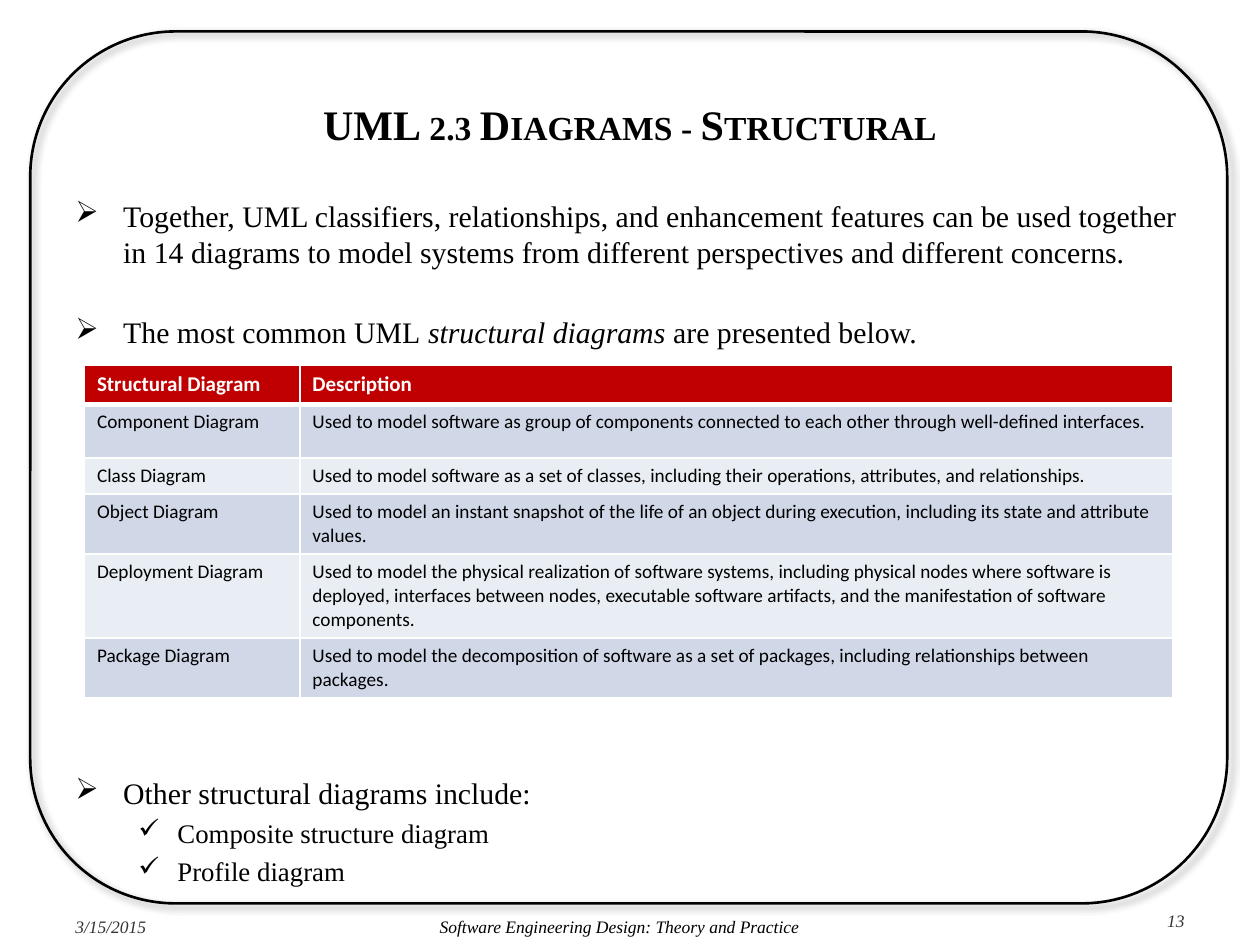
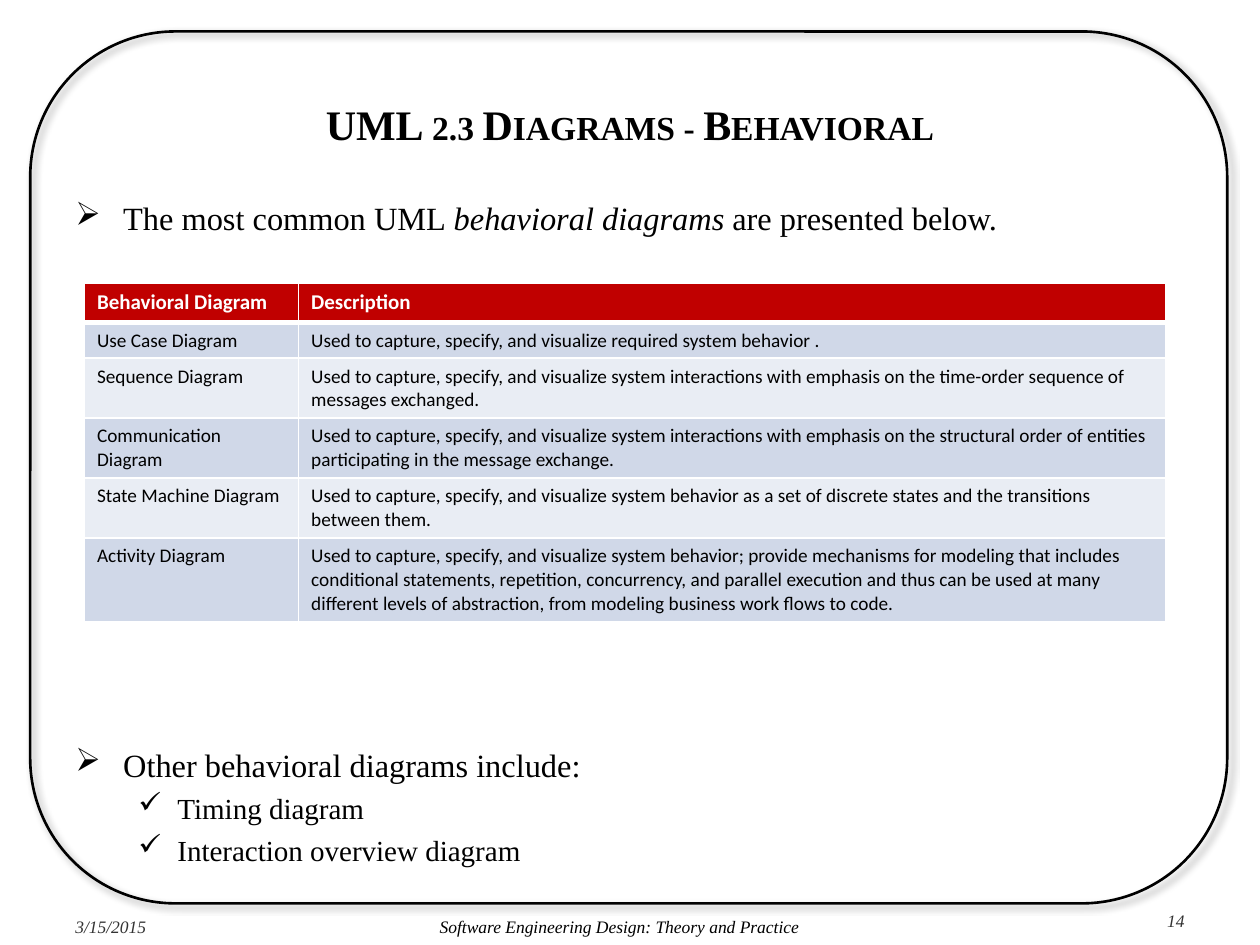
from lxml import etree
from pptx import Presentation
from pptx.dml.color import RGBColor
from pptx.enum.shapes import MSO_SHAPE
from pptx.enum.text import MSO_ANCHOR, PP_ALIGN
from pptx.oxml import parse_xml
from pptx.oxml.ns import qn
from pptx.util import Inches, Pt

LEFT, MID, RIGHT = PP_ALIGN.LEFT, PP_ALIGN.CENTER, PP_ALIGN.RIGHT
TOP, CENTER = MSO_ANCHOR.TOP, MSO_ANCHOR.MIDDLE
ROUND = MSO_SHAPE.ROUNDED_RECTANGLE
NS = 'xmlns:a="http://schemas.openxmlformats.org/drawingml/2006/main"'
HUES = {"ink": "000000", "gray": "333333", "white": "FFFFFF",
        "head": "C00000", "odd": "D0D8E8", "even": "E9EDF4"}
SERIF, SANS = "Times New Roman", "Calibri"

# Grid of 100 columns by 100 rows
W, H = Inches(10), Inches(7.5)


def area(x, y, w, h):
    return [int(W * x / 100), int(H * y / 100), int(W * w / 100), int(H * h / 100)]


def write(frame, text, size=10, font=SERIF, hue="ink", bold=False, italic=False,
          caps=False, align=LEFT, gap=0, mark=None, indent=(0, 0), anchor=TOP):
    """Add one paragraph; parts between asterisks switch the slant."""
    frame.word_wrap = True
    frame.vertical_anchor = anchor
    para = frame.paragraphs[0]
    if para.runs:
        para = frame.add_paragraph()
    para.alignment = align
    if gap:
        para.space_before = Pt(gap)
    if mark:
        props = para._p.get_or_add_pPr()
        props.set("marL", str(Inches(indent[0])))
        props.set("indent", str(Inches(indent[1])))
        etree.SubElement(props, qn("a:buChar")).set("char", mark)
    for i, part in enumerate(text.split("*")):
        run = para.add_run()
        run.text = part
        run.font.size, run.font.name = Pt(size), font
        run.font.color.rgb = RGBColor.from_string(HUES[hue])
        run.font.bold, run.font.italic = bold, italic != (i % 2 == 1)
        if caps:
            run._r.get_or_add_rPr().set("cap", "small")


# Content: points are (level, space before, text); rows are (name, use, lines)
PAGES = [
    {"title": "UML 2.3 Diagrams - Structural", "page": "13", "sizes": (17, 15.3),
     "deep": 70, "points": [
         (0, 0, "Together, UML classifiers, relationships, and enhancement features can be "
                "used together in 14 diagrams to model systems from different perspectives "
                "and different concerns."),
         (0, 25.5, "The most common UML* structural diagrams *are presented below."),
         (0, 242.7, "Other structural diagrams include:"),
         (1, 3.6, "Composite structure diagram"),
         (1, 3.6, "Profile diagram")],
     "top": 38.67, "cols": (17.1, 69.3), "head": "Structural Diagram", "rows": [
         ("Component Diagram", "Used to model software as group of components connected to "
          "each other through well-defined interfaces.", 1.75),
         ("Class Diagram", "Used to model software as a set of classes, including their "
          "operations, attributes, and relationships.", 1),
         ("Object Diagram", "Used to model an instant snapshot of the life of an object "
          "during execution, including its state and attribute values.", 2),
         ("Deployment Diagram", "Used to model the physical realization of software systems, "
          "including physical nodes where software is deployed, interfaces between nodes, "
          "executable software artifacts, and the manifestation of software components.", 3),
         ("Package Diagram", "Used to model the decomposition of software as a set of "
          "packages, including relationships between packages.", 2)]},
    {"title": "UML 2.3 Diagrams - Behavioral", "page": "14", "sizes": (18.5, 16.6),
     "deep": 64.4, "points": [
         (0, 0, "The most common UML* behavioral diagrams *are presented below."),
         (0, 290.2, "Other behavioral diagrams include:"),
         (1, 4, "Timing diagram"),
         (1, 4, "Interaction overview diagram")],
     "top": 30, "cols": (17, 68.8), "head": "Behavioral Diagram", "rows": [
         ("Use Case Diagram", "Used to capture, specify, and visualize required system "
          "behavior .", 1),
         ("Sequence Diagram", "Used to capture, specify, and visualize system interactions "
          "with emphasis on the time-order sequence of messages exchanged.", 2),
         ("Communication Diagram", "Used to capture, specify, and visualize system "
          "interactions with emphasis on the structural order of entities participating in "
          "the message exchange.", 2),
         ("State Machine Diagram", "Used to capture, specify, and visualize system behavior "
          "as a set of discrete states and the transitions between them.", 2),
         ("Activity Diagram", "Used to capture, specify, and visualize system behavior; "
          "provide mechanisms for modeling that includes conditional statements, repetition, "
          "concurrency, and parallel execution and thus can be used at many different levels "
          "of abstraction, from modeling business work flows to code.", 3)]},
]
MARKS = [("➢", (0.38, -0.38)), ("✓", (0.81, -0.31))]

deck = Presentation()
deck.slide_width, deck.slide_height = W, H

for page in PAGES:
    slide = deck.slides.add_slide(deck.slide_layouts[6])
    shapes = slide.shapes

    # Rounded frame with a soft shadow
    rim = shapes.add_shape(ROUND, *area(2.4, 3.33, 95, 92.27))
    rim.fill.background()
    rim.line.color.rgb = RGBColor.from_string(HUES["ink"])
    rim.line.width = Pt(1.5)
    rim.shadow.inherit = False
    glow = rim._element.spPr.find(qn("a:effectLst"))
    glow.append(parse_xml(
        f'<a:outerShdw {NS} blurRad="{Pt(4)}" dist="{Pt(3)}" dir="2700000" '
        f'algn="tl" rotWithShape="0"><a:srgbClr val="{HUES["ink"]}">'
        '<a:alpha val="40000"/></a:srgbClr></a:outerShdw>'))

    # Title and footers
    for box, text, form in [
        ((5, 7.33, 90, 11.6), page["title"],
         dict(size=24, bold=True, caps=True, align=MID, anchor=CENTER)),
        ((5, 96, 10.8, 4), "3/15/2015", dict(hue="gray", italic=True, anchor=CENTER)),
        ((15.8, 96, 66.7, 4), "Software Engineering Design: Theory and Practice",
         dict(italic=True, align=MID, anchor=CENTER)),
        ((82.5, 95.6, 12.5, 4.4), page["page"],
         dict(hue="gray", italic=True, align=RIGHT)),
    ]:
        write(shapes.add_textbox(*area(*box)).text_frame, text, **form)

    # Bullet points, spaced to leave room for the table
    body = shapes.add_textbox(*area(5, 20.3, 90, page["deep"])).text_frame
    for level, gap, text in page["points"]:
        mark, indent = MARKS[level]
        write(body, text, size=page["sizes"][level], gap=gap, mark=mark, indent=indent)

    # Table
    rows = [(page["head"], "Description", 1)] + page["rows"]
    tall = [4.1] + [3.81 + 2.54 * (row[2] - 1) for row in page["rows"]]
    grid = shapes.add_table(len(rows), 2, *area(6.7, page["top"], sum(page["cols"]),
                                                sum(tall))).table
    for c, wide in enumerate(page["cols"]):
        grid.columns[c].width = int(W * wide / 100)
    for r, row in enumerate(rows):
        grid.rows[r].height = int(H * tall[r] / 100)
        for c in range(2):
            cell = grid.cell(r, c)
            cell.fill.solid()
            tint = "head" if r == 0 else "odd" if r % 2 else "even"
            cell.fill.fore_color.rgb = RGBColor.from_string(HUES[tint])
            form = dict(size=12, hue="white", bold=True) if r == 0 else dict(size=11)
            write(cell.text_frame, row[c], font=SANS, **form)
            for i, side in enumerate("LRTB"):
                thick = 3 if (r, side) in [(0, "B"), (1, "T")] else 1
                cell._tc.get_or_add_tcPr().insert(i, parse_xml(
                    f'<a:ln{side} {NS} w="{Pt(thick)}"><a:solidFill>'
                    f'<a:srgbClr val="{HUES["white"]}"/></a:solidFill></a:ln{side}>'))

deck.save("out.pptx")
